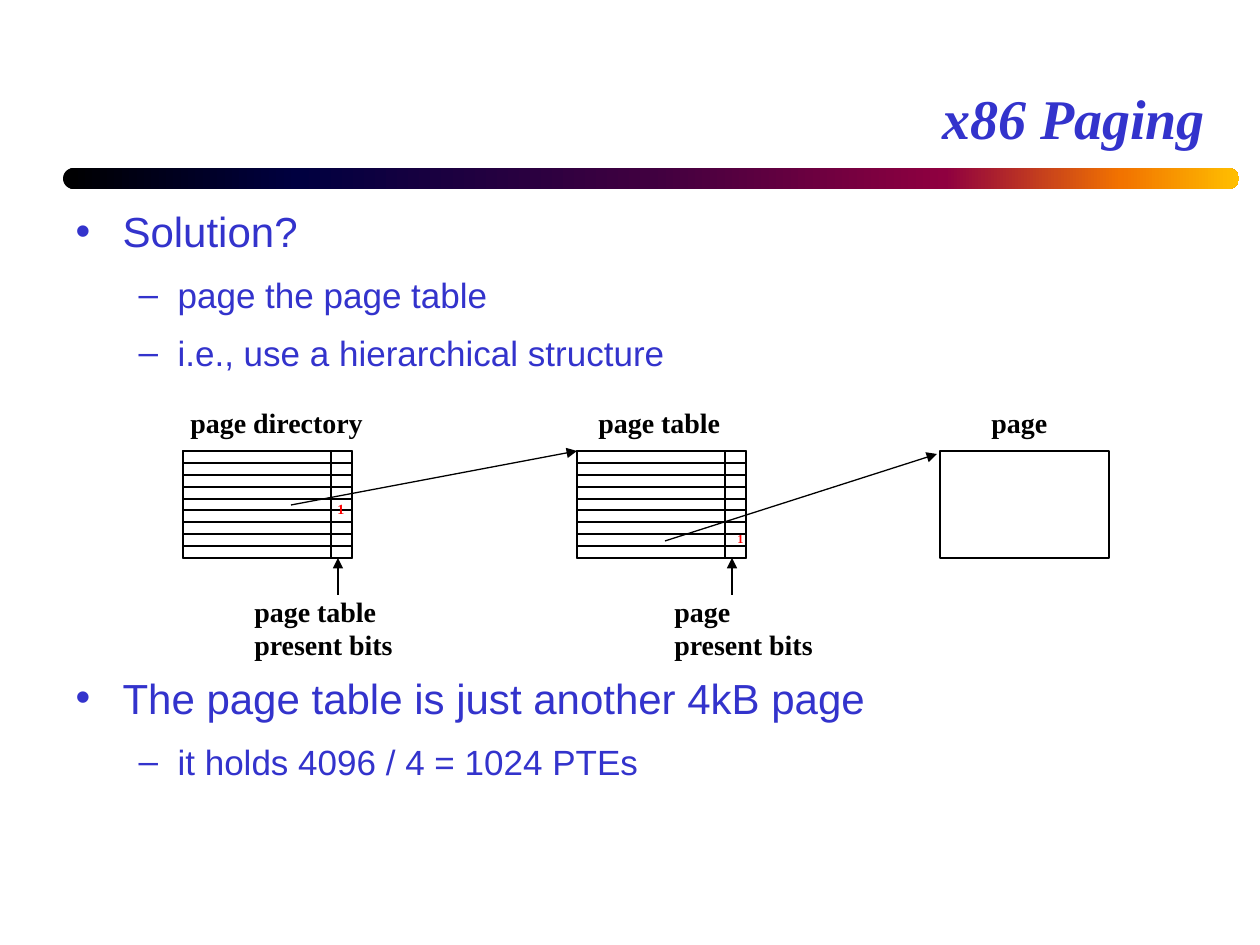
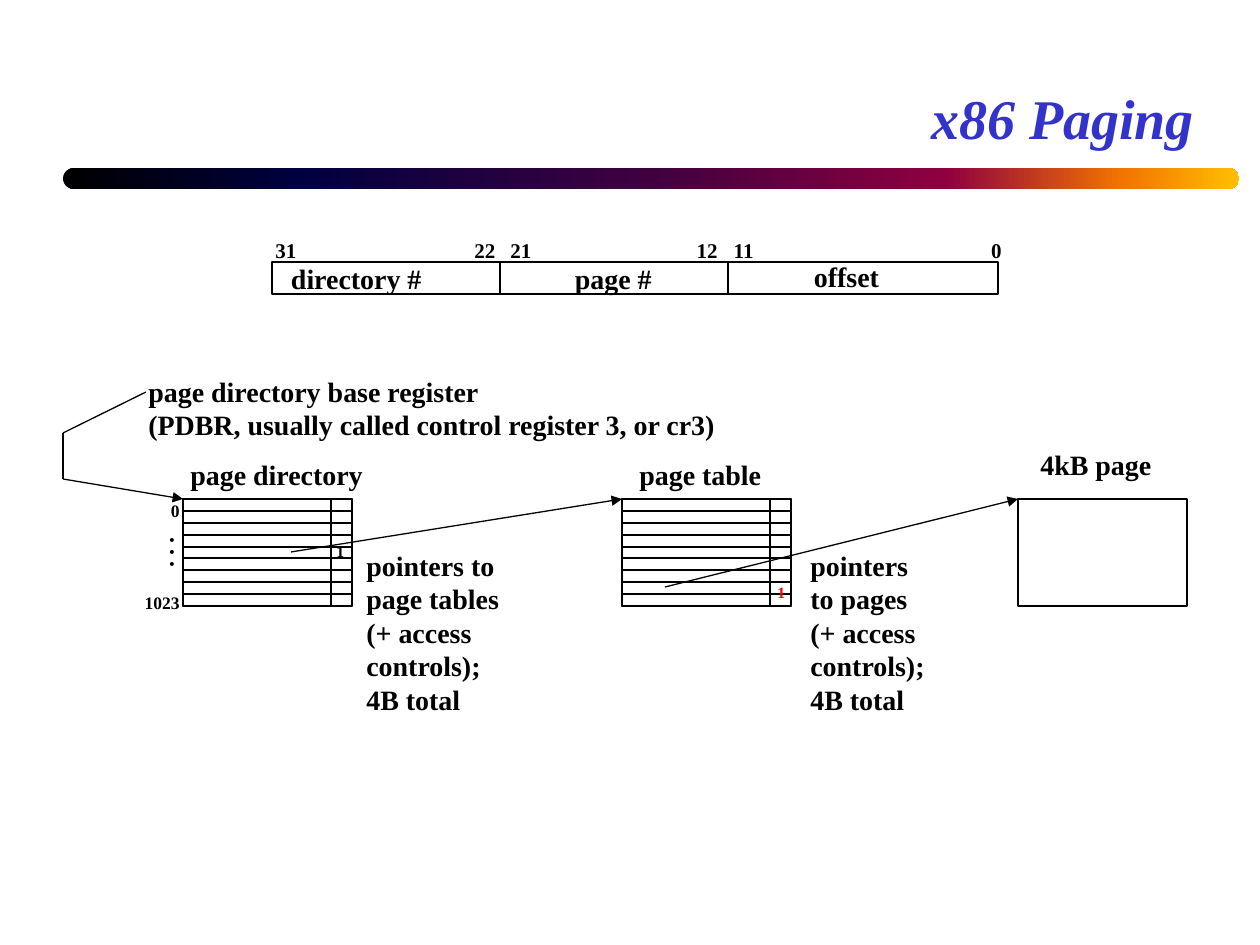
"""Build two slides on x86 paging."""
from lxml import etree
from pptx import Presentation
from pptx.dml.color import RGBColor
from pptx.enum.shapes import MSO_CONNECTOR, MSO_SHAPE
from pptx.enum.text import MSO_ANCHOR, MSO_AUTO_SIZE, PP_ALIGN
from pptx.oxml.ns import qn
from pptx.util import Pt

RECT, ROUND = MSO_SHAPE.RECTANGLE, MSO_SHAPE.ROUNDED_RECTANGLE
STRAIGHT = MSO_CONNECTOR.STRAIGHT
BOTTOM = MSO_ANCHOR.BOTTOM
NO_FIT, FIT_SHAPE = MSO_AUTO_SIZE.NONE, MSO_AUTO_SIZE.SHAPE_TO_FIT_TEXT
LEFT, RIGHT = PP_ALIGN.LEFT, PP_ALIGN.RIGHT

BLACK = RGBColor(0, 0, 0)
RED = RGBColor(255, 0, 0)
BLUE = RGBColor(0x33, 0x33, 0xCC)
BAND_STOPS = [
    (0, BLACK),
    (20, RGBColor(0, 0, 0x40)),
    (50, RGBColor(0x40, 0, 0x40)),
    (75, RGBColor(0x8F, 0, 0x40)),
    (90, RGBColor(0xF2, 0x73, 0)),
    (100, RGBColor(0xFF, 0xBF, 0)),
]

PX = 914400 / 126
SERIF, SANS = "Times New Roman", "Arial"
TITLE_FONT = {"name": SERIF, "size": Pt(32), "bold": True, "italic": True}
LABEL_FONT = {"name": SERIF, "bold": True}
LEVELS = [
    {"size": 24, "margin": 47, "hang": 47, "gap": 5.5},
    {"size": 20, "margin": 102, "hang": 39, "gap": 4.6},
]
DIAGRAM_GAP = 166
BOX_W, BOX_H, BIT_X = 169, 107, 148
ROW_COUNT, ROWS = 9, (0, 1, 2, 3, 5, 6, 8)


def emu(*lengths):
    """Turn px lengths into EMU."""
    return [round(n * PX) for n in lengths]


def apply(target, values, color=None):
    """Set attributes from a dict, and the colour if there is one."""
    for key, value in values.items():
        setattr(target, key, value)
    if color is not None:
        target.color.rgb = color


class Deck:
    """Hold the style and the current slide."""

    def __init__(self):
        self.prs = Presentation()
        self.prs.slide_width, self.prs.slide_height = emu(1260, 945)

    def new_slide(self, layout, title, title_w):
        """Start a slide with its colour band and title."""
        self.slide = self.prs.slides.add_slide(self.prs.slide_layouts[layout])
        self.shapes = self.slide.shapes
        self.band()
        sp = self.shapes.title
        self.place(sp, 63, 39, title_w, 118)
        tf = sp.text_frame
        apply(tf, {"text": title, "vertical_anchor": BOTTOM, "auto_size": NO_FIT})
        p = tf.paragraphs[0]
        p.alignment = RIGHT
        apply(p.runs[0].font, TITLE_FONT, BLUE)

    def place(self, sp, x, y, w, h):
        """Move and size a placeholder."""
        sp.left, sp.top, sp.width, sp.height = emu(x, y, w, h)

    def band(self):
        """Draw the gradient band under the title."""
        sp = self.shapes.add_shape(ROUND, *emu(63, 168, 1176, 21))
        sp.shadow.inherit = False
        sp.adjustments[0] = 0.5
        sp.line.fill.background()
        sp.fill.gradient()
        sp.fill.gradient_angle = 0
        stops = sp.element.spPr.find(".//" + qn("a:gsLst"))
        stops.clear()
        for pos, color in BAND_STOPS:
            gs = etree.SubElement(stops, qn("a:gs"), pos=str(pos * 1000))
            etree.SubElement(gs, qn("a:srgbClr"), val=str(color))

    def bullets(self, items):
        """Fill the body with (level, text, extra space before) items."""
        sp = self.shapes.placeholders[1]
        self.place(sp, 63, 199, 1134, 667)
        tf = sp.text_frame
        tf.text = "\n".join(text for _, text, _ in items)
        tf.auto_size = NO_FIT
        for p, (level, _, extra) in zip(tf.paragraphs, items):
            fmt = LEVELS[level]
            apply(p, {"level": level, "space_before": Pt(fmt["gap"] + extra),
                      "space_after": Pt(fmt["gap"])})
            margin, hang = emu(fmt["margin"], fmt["hang"])
            pPr = p._p.get_or_add_pPr()
            pPr.set("marL", str(margin))
            pPr.set("indent", str(-hang))
            apply(p.runs[0].font, {"name": SANS, "size": Pt(fmt["size"])}, BLUE)

    def label(self, text, x, y, w, h, size=16, color=BLACK, align=LEFT, inset=True):
        """Add a bold serif text box."""
        sp = self.shapes.add_textbox(*emu(x, y, w, h))
        tf = sp.text_frame
        apply(tf, {"text": text, "word_wrap": False, "auto_size": FIT_SHAPE})
        if not inset:
            apply(tf, dict.fromkeys(
                ("margin_left", "margin_top", "margin_right", "margin_bottom"), 0))
        for p in tf.paragraphs:
            p.alignment = align
            apply(p.runs[0].font, {**LABEL_FONT, "size": Pt(size)}, color)
        return sp

    def box(self, x, y, w=BOX_W, h=BOX_H):
        """Add an unfilled outlined rectangle."""
        sp = self.shapes.add_shape(RECT, *emu(x, y, w, h))
        sp.shadow.inherit = False
        sp.fill.background()
        apply(sp.line, {"width": Pt(0.75)}, BLACK)

    def line(self, x1, y1, x2, y2, arrow=False):
        """Add a thin line, with an arrowhead at its end if asked."""
        cx = self.shapes.add_connector(STRAIGHT, *emu(x1, y1, x2, y2))
        apply(cx.line, {"width": Pt(0.75)}, BLACK)
        spPr = cx.element.spPr
        if arrow:
            etree.SubElement(spPr.find(qn("a:ln")), qn("a:tailEnd"), type="triangle")
        etree.SubElement(spPr, qn("a:effectLst"))

    def entry_table(self, x, y):
        """Draw a box of entries with a column of present bits."""
        for row in ROWS:
            self.box(x, y + round(row * BOX_H / ROW_COUNT), h=round(BOX_H / ROW_COUNT))
        self.box(x, y)
        self.line(x + BIT_X, y, x + BIT_X, y + BOX_H)


def hierarchy_slide(d):
    """Build the slide on paging the page table."""
    d.new_slide(1, "x86 Paging", 1155)
    d.bullets([
        (0, "Solution?", 0),
        (1, "page the page table", 0),
        (1, "i.e., use a hierarchical structure", 0),
        (0, "The page table is just another 4kB page", DIAGRAM_GAP - LEVELS[0]["gap"]),
        (1, "it holds 4096 / 4 = 1024 PTEs", 0),
    ])
    top = 451
    for text, x, w in (("page directory", 178, 200), ("page table", 586, 149),
                       ("page", 979, 82)):
        d.label(text, x, 399, w, 47)
    for text, x, table_x in (("page table", 242, 183), ("page", 662, 577)):
        d.entry_table(table_x, top)
        d.label(text + "\npresent bits", x, 588, 166, 81)
        d.line(table_x + 155, 595, table_x + 155, top + BOX_H, arrow=True)
    d.box(940, top)
    d.line(291, 505, 577, top, arrow=True)
    d.line(665, 541, 937, 454, arrow=True)
    d.label("1", 325, 494, 33, 30, 8, RED)
    d.label("1", 725, 525, 32, 28, 7, RED)


def address_slide(d):
    """Build the slide on address fields and the table walk."""
    d.new_slide(5, "x86 Paging", 1144)
    for text, x, w, align in (("31", 263, 47, LEFT), ("22", 462, 47, LEFT),
                              ("21", 498, 47, LEFT), ("12", 683, 47, RIGHT),
                              ("11", 721, 45, RIGHT), ("0", 977, 37, RIGHT)):
        d.label(text, x, 231, w, 38, 12, align=align)
    for text, x, w, text_x, text_y, text_w in (
            ("directory #", 272, 228, 291, 262, 132),
            ("page #", 500, 228, 575, 262, 78),
            ("offset", 728, 270, 814, 260, 67)):
        d.box(x, 262, w, 32)
        d.label(text, text_x, text_y, text_w, 34, inset=False)

    d.label("page directory base register\n"
            "(PDBR, usually called control register 3, or cr3)", 136, 368, 600, 81)
    top = 499
    d.line(146, 392, 63, 433)
    d.line(63, 433, 63, 479)
    d.line(63, 479, 183, top, arrow=True)

    d.label("page directory", 178, 451, 200, 47)
    d.label("page table", 627, 451, 149, 47)
    d.label("4kB page", 1028, 441, 137, 47)
    d.entry_table(183, top)
    d.entry_table(622, top)
    d.box(1018, top)
    d.line(291, 552, 622, top, arrow=True)
    d.line(665, 587, 1018, top, arrow=True)
    d.label("1", 324, 536, 34, 32, 9)
    d.label("1", 765, 577, 34, 32, 9, RED)
    for text, x, w in (("pointers to\npage tables", 354, 160),
                       ("pointers\nto pages", 798, 141)):
        d.label(text + "\n(+ access\ncontrols);\n4B total", x, 542, w, 183)
    d.label("0", 158, 494, 34, 34, 10, align=RIGHT)
    d.label("1023", 132, 586, 60, 34, 10, align=RIGHT)
    d.label(". . .", 136, 530, 57, 43, 14).rotation = 270


def main():
    """Build and save the deck."""
    d = Deck()
    hierarchy_slide(d)
    address_slide(d)
    d.prs.save("out.pptx")


if __name__ == "__main__":
    main()
